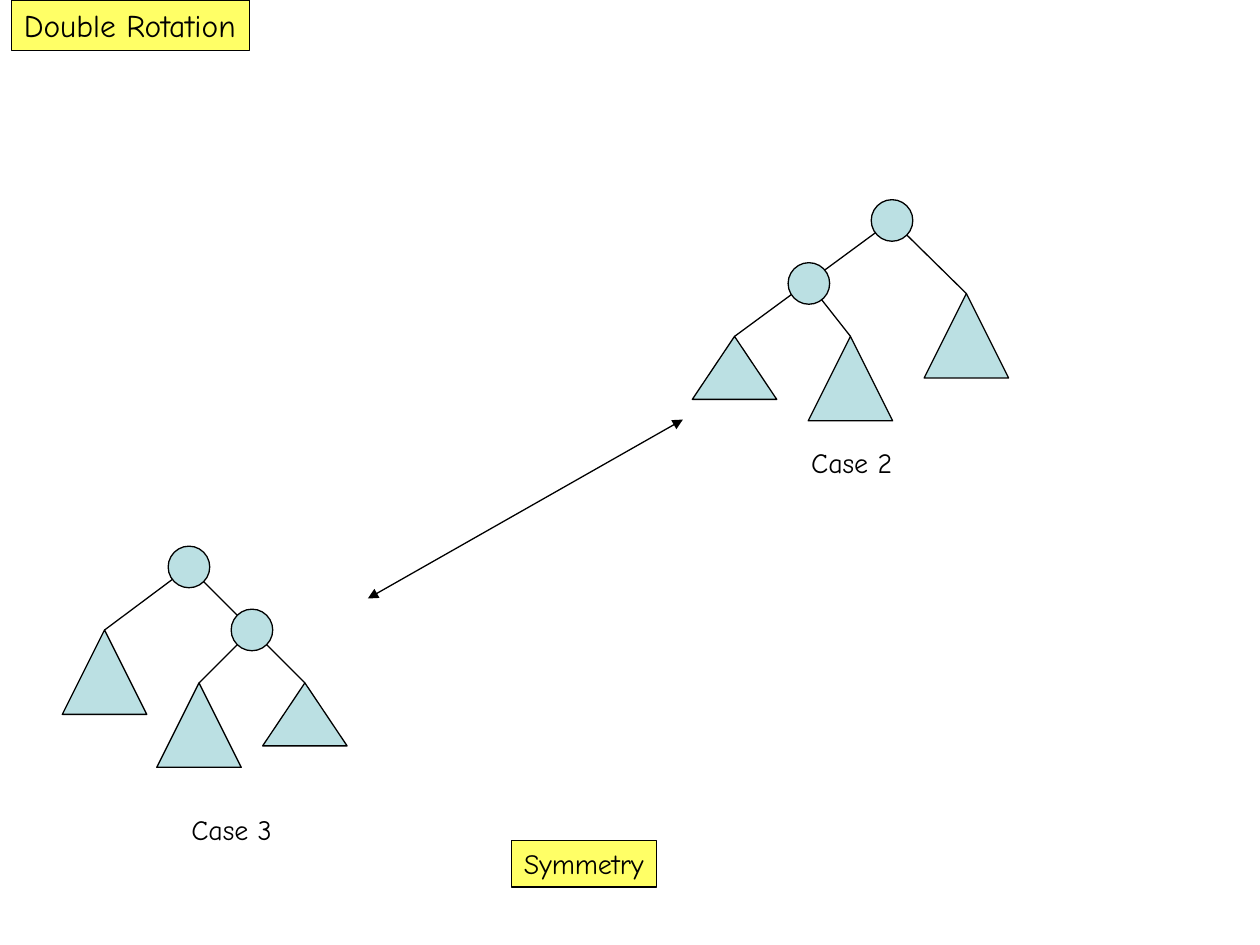
from dataclasses import dataclass

from pptx import Presentation
from pptx.dml.color import RGBColor
from pptx.enum.shapes import MSO_CONNECTOR, MSO_SHAPE
from pptx.enum.text import MSO_ANCHOR, MSO_AUTO_SIZE, PP_ALIGN
from pptx.oxml.ns import qn
from pptx.oxml.xmlchemy import OxmlElement
from pptx.shapes.autoshape import Shape
from pptx.shapes.connector import Connector
from pptx.shapes.shapetree import GroupShapes, SlideShapes
from pptx.util import Inches, Pt

RECTANGLE = MSO_SHAPE.RECTANGLE
ELLIPSE = MSO_SHAPE.OVAL
TRIANGLE = MSO_SHAPE.ISOSCELES_TRIANGLE
STRAIGHT = MSO_CONNECTOR.STRAIGHT
LEFT = PP_ALIGN.LEFT
TOP = MSO_ANCHOR.TOP
FIT_SHAPE = MSO_AUTO_SIZE.SHAPE_TO_FIT_TEXT

FONT = "Comic Neue"
BLACK = "000000"
YELLOW = "FFFF66"
PALE_BLUE = "BBE0E3"
LINE_WIDTH = Pt(0.75)
NODE_SIZE = 0.33
SUBTREE_WIDTH = 0.67

Point = tuple[float, float]


@dataclass
class Subtree:
    """A triangle given by its apex and height."""
    apex: Point
    height: float


@dataclass
class Tree:
    """A binary tree with its node centres, edges and subtrees."""
    nodes: list[Point]
    edges: list[tuple[Point, Point]]
    subtrees: list[Subtree]


@dataclass
class Label:
    """A line of text with an optional framed background."""
    text: str
    left: float
    top: float
    width: float
    height: float
    size: int = 16
    fill: str | None = None


TREES = [
    Tree(
        nodes=[(7.08, 1.75), (6.42, 2.25)],
        edges=[
            ((7.08, 1.75), (7.67, 2.33)),
            ((7.08, 1.75), (5.83, 2.67)),
            ((6.42, 2.25), (6.75, 2.67)),
        ],
        subtrees=[
            Subtree((6.75, 2.67), 0.67),
            Subtree((5.83, 2.67), 0.5),
            Subtree((7.67, 2.33), 0.67),
        ],
    ),
    Tree(
        nodes=[(1.5, 4.5), (2, 5)],
        edges=[
            ((2, 5), (1.58, 5.42)),
            ((1.5, 4.5), (2.42, 5.42)),
            ((1.5, 4.5), (0.83, 5)),
        ],
        subtrees=[
            Subtree((1.58, 5.42), 0.67),
            Subtree((2.42, 5.42), 0.5),
            Subtree((0.83, 5), 0.67),
        ],
    ),
]
TITLE = Label("Double Rotation", 0.09, 0, 1.89, 0.4, size=18, fill=YELLOW)
CASES = [
    Label("Case 2", 6.34, 3.49, 0.84, 0.37),
    Label("Case 3", 1.42, 6.4, 0.84, 0.37),
]
SYMMETRY = Label("Symmetry", 4.06, 6.67, 1.15, 0.37, fill=YELLOW)


def color(value: str) -> RGBColor:
    """Turn a hex string into a colour."""
    return RGBColor.from_string(value)


def style_shape(shape: Shape, fill: str) -> None:
    """Give a shape a solid fill and a thin black outline."""
    shape.shadow.inherit = False
    shape.fill.solid()
    shape.fill.fore_color.rgb = color(fill)
    shape.line.color.rgb = color(BLACK)
    shape.line.width = LINE_WIDTH


def draw_line(shapes: SlideShapes | GroupShapes, start: Point, end: Point) -> Connector:
    """Draw a thin black straight line."""
    connector = shapes.add_connector(STRAIGHT, *map(Inches, start + end))
    connector.line.color.rgb = color(BLACK)
    connector.line.width = LINE_WIDTH
    connector._element.spPr.append(OxmlElement("a:effectLst"))
    return connector


def draw_double_arrow(shapes: SlideShapes, start: Point, end: Point) -> None:
    """Draw a line with a triangular arrowhead at both ends."""
    line = draw_line(shapes, start, end)._element.spPr.find(qn("a:ln"))
    for tag in ("a:headEnd", "a:tailEnd"):
        arrowhead = OxmlElement(tag)
        arrowhead.set("type", "triangle")
        line.append(arrowhead)


def draw_tree(shapes: SlideShapes, tree: Tree) -> None:
    """Draw a tree as one group, with edges behind nodes and subtrees."""
    members = shapes.add_group_shape().shapes
    for start, end in tree.edges:
        draw_line(members, start, end)
    for x, y in tree.nodes:
        node = members.add_shape(
            ELLIPSE, Inches(x - NODE_SIZE / 2), Inches(y - NODE_SIZE / 2),
            Inches(NODE_SIZE), Inches(NODE_SIZE))
        style_shape(node, PALE_BLUE)
    for subtree in tree.subtrees:
        x, y = subtree.apex
        triangle = members.add_shape(
            TRIANGLE, Inches(x - SUBTREE_WIDTH / 2), Inches(y),
            Inches(SUBTREE_WIDTH), Inches(subtree.height))
        style_shape(triangle, PALE_BLUE)


def draw_label(shapes: SlideShapes, label: Label) -> None:
    """Draw a label, framed when it has a fill."""
    bounds = [Inches(value) for value in (label.left, label.top, label.width, label.height)]
    if label.fill:
        shape = shapes.add_shape(RECTANGLE, *bounds)
        style_shape(shape, label.fill)
    else:
        shape = shapes.add_textbox(*bounds)
    frame = shape.text_frame
    frame.word_wrap = False
    frame.auto_size = FIT_SHAPE
    frame.vertical_anchor = TOP
    paragraph = frame.paragraphs[0]
    paragraph.alignment = LEFT
    run = paragraph.add_run()
    run.text = label.text
    run.font.name = FONT
    run.font.size = Pt(label.size)
    run.font.color.rgb = color(BLACK)


def main() -> None:
    """Build and save the double rotation slide."""
    presentation = Presentation()
    presentation.slide_width = Inches(10)
    presentation.slide_height = Inches(7.5)
    slide = presentation.slides.add_slide(presentation.slide_layouts[6])
    shapes = slide.shapes
    draw_label(shapes, TITLE)
    for tree in TREES:
        draw_tree(shapes, tree)
    for case in CASES:
        draw_label(shapes, case)
    draw_double_arrow(shapes, (5.42, 3.33), (2.92, 4.75))
    draw_label(shapes, SYMMETRY)
    presentation.save("out.pptx")


if __name__ == "__main__":
    main()
